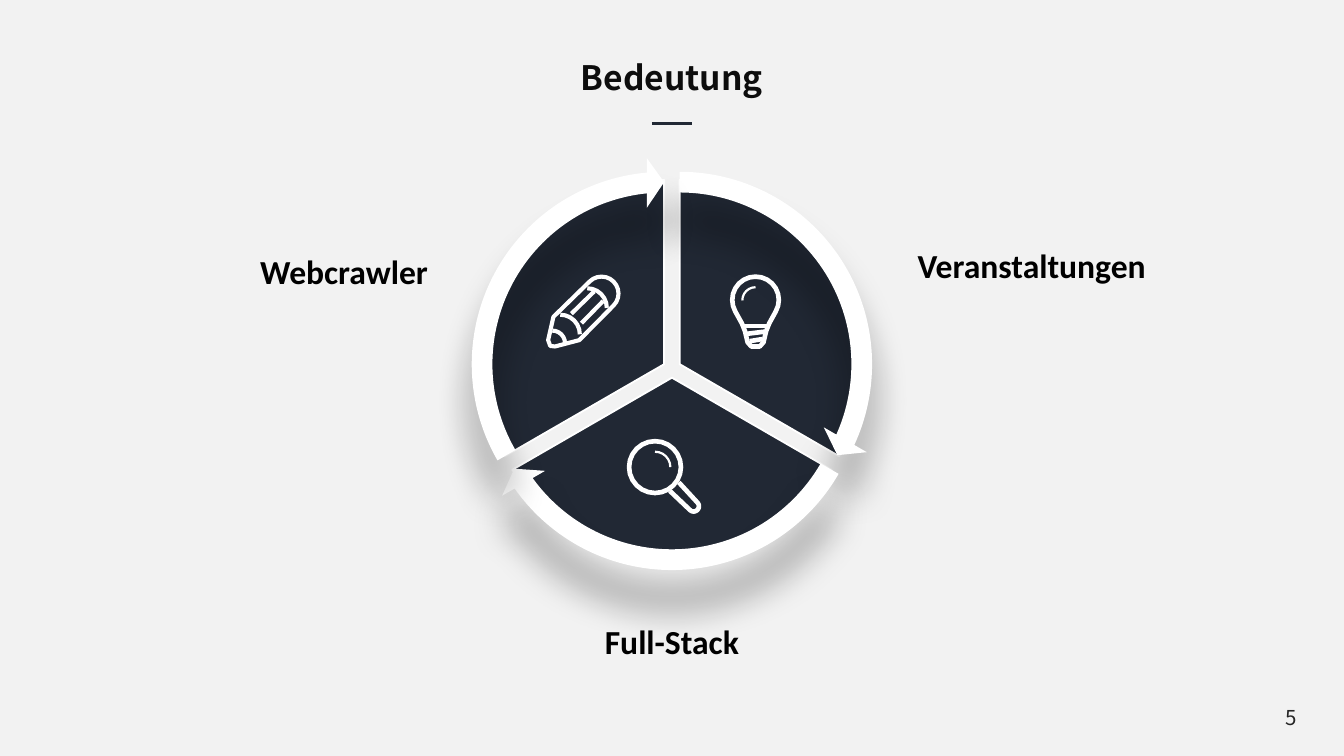
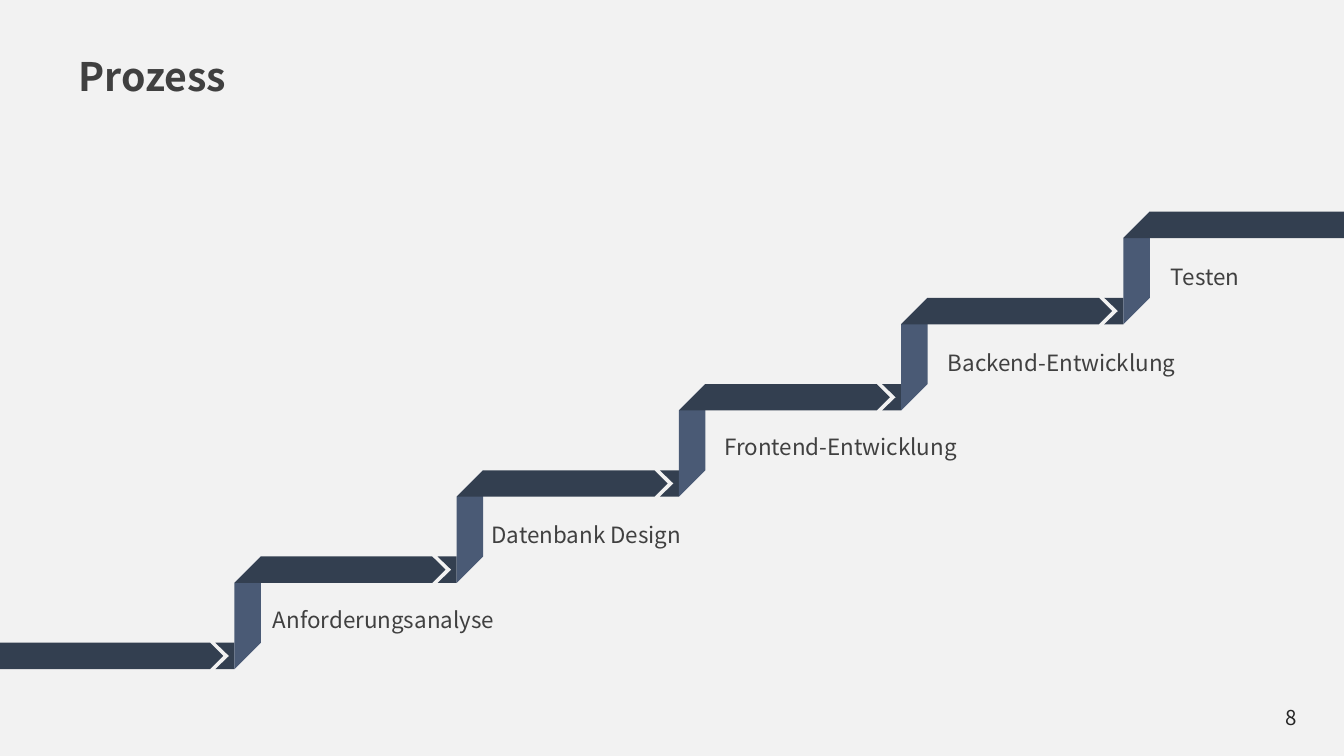
from math import cos, radians, sin

from lxml.etree import SubElement
from pptx import Presentation
from pptx.dml.color import RGBColor
from pptx.enum.shapes import MSO_CONNECTOR, MSO_SHAPE
from pptx.enum.text import MSO_ANCHOR, MSO_AUTO_SIZE, PP_ALIGN
from pptx.oxml.ns import qn
from pptx.util import Cm, Pt

rgb = RGBColor.from_string
LEFT, CENTER, RIGHT = PP_ALIGN.LEFT, PP_ALIGN.CENTER, PP_ALIGN.RIGHT

BACKGROUND, WHITE, BLACK = "F2F2F2", "FFFFFF", "000000"
NAVY, SLATE, BLUE = "212834", "333F50", "4A5A75"
HEADING, BODY, NUMBER = "0D0D0D", "404040", "262626"
SANS, CALIBRI = "Noto Sans CJK SC", "Calibri"
WIDTH, HEIGHT = 25.4, 14.29


def add_text(s, text, x, y, w, h, size, color, font=SANS, bold=False,
             align=LEFT, spacing=1.0, before=0, inset=(0.25, 0.13),
             anchor=MSO_ANCHOR.TOP, grow=True):
    tb = s.shapes.add_textbox(Cm(x), Cm(y), Cm(w), Cm(h))
    tf = tb.text_frame
    tf.word_wrap = True
    tf.auto_size = MSO_AUTO_SIZE.SHAPE_TO_FIT_TEXT if grow else MSO_AUTO_SIZE.NONE
    tf.vertical_anchor = anchor
    tf.margin_left = tf.margin_right = Cm(inset[0])
    tf.margin_top = tf.margin_bottom = Cm(inset[1])
    p = tf.paragraphs[0]
    p.text = text
    p.alignment = align
    p.line_spacing = spacing
    p.space_before = Pt(before)
    p.font.size = Pt(size)
    p.font.name = font
    p.font.bold = bold
    p.font.color.rgb = rgb(color)


def add_freeform(s, contours, fill=None, stroke=None):
    """Draw contours of (x, y) points and (cx, cy, r, start, end) arcs.

    With a fill the contours are closed; with a stroke width they are
    white lines, closed only where the last point repeats the first.
    """
    builder = None
    for contour in contours:
        points = []
        for item in contour:
            if len(item) == 2:
                points.append(item)
                continue
            cx, cy, r, start, end = item
            points += [(cx + r * cos(radians(a)), cy + r * sin(radians(a)))
                       for a in range(start, end + 1, 15)]
        points = [(Cm(x), Cm(y)) for x, y in points]
        if builder is None:
            builder = s.shapes.build_freeform(*points[0])
        else:
            builder.move_to(*points[0])
        builder.add_line_segments(points[1:], close=fill is not None)
    sp = builder.convert_to_shape()
    sp.shadow.inherit = False
    if fill:
        sp.fill.solid()
        sp.fill.fore_color.rgb = rgb(fill)
        sp.line.fill.background()
    else:
        sp.fill.background()
        sp.line.color.rgb = rgb(WHITE)
        sp.line.width = Pt(stroke)


prs = Presentation()
prs.slide_width, prs.slide_height = Cm(WIDTH), Cm(HEIGHT)
background = prs.slide_master.background.fill
background.solid()
background.fore_color.rgb = rgb(BACKGROUND)

meaning, process = [prs.slides.add_slide(prs.slide_layouts[6]) for _ in range(2)]
for s, number in ((meaning, "5"), (process, "8")):
    add_text(s, number, 19.04, 13.18, 5.72, 0.76, 11, NUMBER, align=RIGHT,
             anchor=MSO_ANCHOR.MIDDLE, grow=False)

# Bedeutung: three sectors, each pushed outwards and edged by an arrow
s = meaning
add_text(s, "Bedeutung", 10.58, 0.94, 4.24, 1.02, 18, HEADING, bold=True, align=CENTER)
rule = s.shapes.add_connector(MSO_CONNECTOR.STRAIGHT, Cm(12.32), Cm(2.34), Cm(13.08), Cm(2.34))
rule.line.color.rgb = rgb(NAVY)
rule.line.width = Pt(1.5)
SubElement(rule._element.spPr, qn("a:effectLst"))

CENTER_X, CENTER_Y, OFFSET = 12.7, 6.97, 0.17
DEGREE = 0.6  # one degree as an adjustment value
for preset, size in ((MSO_SHAPE.PIE, 6.96), (MSO_SHAPE.CIRCULAR_ARROW, 7.82)):
    for start in (270, 30, 150):
        middle = radians(start + 60)
        x = CENTER_X + OFFSET * cos(middle) - size / 2
        y = CENTER_Y + OFFSET * sin(middle) - size / 2
        sp = s.shapes.add_shape(preset, Cm(x), Cm(y), Cm(size), Cm(size))
        sp.shadow.inherit = False
        sp.fill.solid()
        if preset == MSO_SHAPE.PIE:
            values = (start * DEGREE, (start + 120) % 360 * DEGREE)
            sp.fill.fore_color.rgb = rgb(NAVY)
            sp.line.color.rgb = rgb(WHITE)
            sp.line.width = Pt(1)
        else:
            values = (0.05, 5.46 * DEGREE, (start + 114.54) % 360 * DEGREE,
                      start * DEGREE, 0.06)
            sp.fill.fore_color.rgb = rgb(WHITE)
            sp.line.fill.background()
            effects = sp._element.spPr.find(qn("a:effectLst"))
            shadow = SubElement(effects, qn("a:outerShdw"), blurRad=str(Pt(20)),
                                dist=str(Pt(20)), dir="5400000", algn="t", rotWithShape="0")
            black = SubElement(shadow, qn("a:srgbClr"), val=BLACK)
            SubElement(black, qn("a:alpha"), val="40000")
        for i, value in enumerate(values):
            sp.adjustments[i] = value

for text, x, y, w, align in (
    ("Webcrawler", 1.27, 4.24, 7.07, RIGHT),
    ("Veranstaltungen", 14.94, 4.11, 9.12, CENTER),
    ("Full-Stack", 8.14, 11.23, 9.12, CENTER),
):
    add_text(s, text, x, y, w, 1.3, 18, BLACK, CALIBRI, True, align, 1.5)

pencil = [
    [(10.36, 6.43), (10.46, 5.99), (11.37, 5.55, 0.32, 225, 405),
     (10.95, 6.43), (10.49, 6.55), (10.4, 6.54), (10.36, 6.43)],
    [(11.1, 5.82, 0.37, 270, 360)],
    [(10.59, 6.32, 0.37, 270, 360)],
    [(10.44, 6.49, 0.24, 270, 360)],
    [(10.8, 5.93), (11.23, 5.51)],
    [(10.99, 6.11), (11.4, 5.69)],
]
bulb = [
    [(14.28, 5.67, 0.44, 150, 390), (14.54, 6.11), (14.48, 6.26), (14.43, 6.47),
     (14.36, 6.55), (14.2, 6.55), (14.13, 6.47), (14.08, 6.26), (14.02, 6.11),
     (14.28, 5.67, 0.44, 150, 150)],
    [(14.04, 6.16), (14.52, 6.16)],
    [(14.12, 6.31), (14.45, 6.27)],
    [(14.17, 6.45), (14.41, 6.41)],
]
magnifier = [
    [(12.38, 8.83, 0.49, 0, 360)],
    [(12.83, 9.12), (13.11, 9.57, 0.1, 315, 495), (12.66, 9.28)],
]
bulb_glint = [[(14.28, 5.68, 0.25, 180, 270)]]
lens_glint = [[(12.38, 8.83, 0.29, 270, 360)]]
for icon, stroke in ((pencil, 2.2), (bulb, 2.5), (bulb_glint, 1.2),
                     (magnifier, 2.5), (lens_glint, 1.2)):
    add_freeform(s, icon, stroke=stroke)

# Prozess: a folded band climbing in equal steps
s = process
STEPS, STEP_W, STEP_H, BAND = 5, 4.2, 1.63, 0.5
FIRST_X, FIRST_Y = 4.43, 12.15
for i in range(STEPS + 1):
    right, y = FIRST_X + i * STEP_W, FIRST_Y - i * STEP_H
    left, bottom, middle = right - STEP_W, y + BAND, y + BAND / 2
    start = [(0, bottom), (0, y)] if i == 0 else [(left, bottom), (left + BAND, y)]
    if i == STEPS:
        add_freeform(s, [start + [(WIDTH, y), (WIDTH, bottom)]], SLATE)
        break
    tread = start + [(right - 0.46, y), (right - 0.21, middle), (right - 0.46, bottom)]
    notch = [(right - 0.36, y), (right, y), (right, bottom),
             (right - 0.36, bottom), (right - 0.1, middle)]
    riser = [(right + BAND, y - STEP_H), (right + BAND, y),
             (right, bottom), (right, bottom - STEP_H)]
    for outline, color in ((tread, SLATE), (notch, SLATE), (riser, BLUE)):
        add_freeform(s, [outline], color)

for text, x, y, w, align in (
    ("Anforderungsanalyse", 4.98, 11.25, 7.85, LEFT),
    ("Datenbank Design", 8.89, 9.75, 4.39, CENTER),
    ("Frontend-Entwicklung", 13.51, 7.98, 5.46, LEFT),
    ("Backend-Entwicklung", 17.68, 6.5, 4.78, CENTER),
    ("Testen", 21.95, 4.78, 2.31, LEFT),
):
    spacing, before = (1.2, 2.4) if align == LEFT else (1.0, 0)
    add_text(s, text, x, y, w, 0.74, 12, BODY, align=align, spacing=spacing,
             before=before, inset=(0.18, 0.1))
add_text(s, "Prozess", 1.3, 0.89, 3.84, 1.09, 21, BODY, bold=True, before=4.2,
         inset=(0.18, 0.1))

prs.save("out.pptx")
